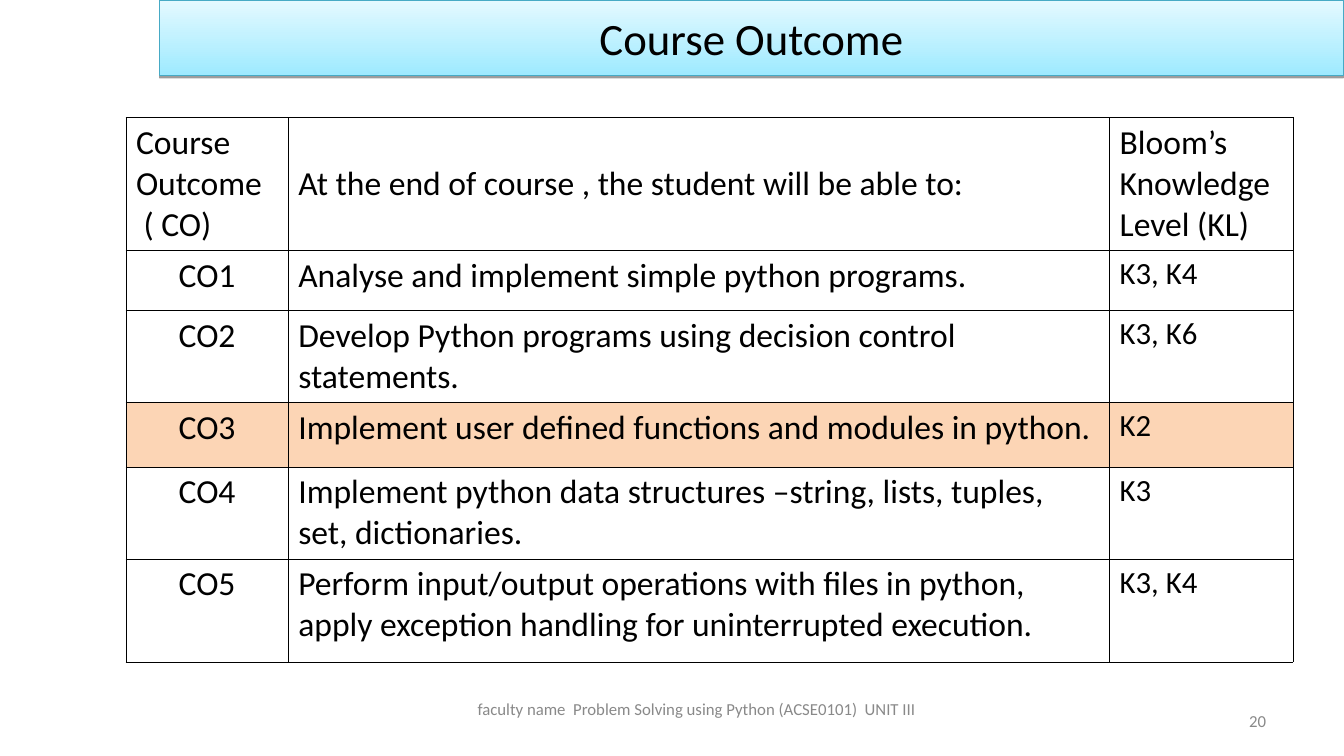
from dataclasses import dataclass

from lxml.etree import SubElement
from pptx import Presentation
from pptx.dml.color import RGBColor
from pptx.enum.shapes import MSO_SHAPE
from pptx.enum.text import MSO_ANCHOR, PP_ALIGN
from pptx.oxml.ns import qn
from pptx.util import Pt


@dataclass(frozen=True)
class Theme:
    font: str = "Calibri"
    ink: str = "000000"
    muted: str = "898989"
    paper: str = "FFFFFF"
    highlight: str = "FCD5B5"
    banner_bottom: str = "9EEAFF"
    banner_top: str = "E4F9FF"
    banner_edge: str = "46AAC5"
    title_size: float = 32
    body_size: float = 24
    level_size: float = 22
    footer_size: float = 12


THEME = Theme()

HEADINGS = (
    "Course Outcome\n ( CO)",
    "At the end of course , the student will be able to:",
    "Bloom’s Knowledge Level (KL)",
)
OUTCOMES = (
    ("CO1", "Analyse and implement simple python programs.", "K3, K4"),
    ("CO2", "Develop Python programs using decision control statements.", "K3, K6"),
    ("CO3", "Implement user defined functions and modules in python.", "K2"),
    ("CO4", "Implement python data structures –string, lists, tuples, set, dictionaries.", "K3"),
    ("CO5", "Perform input/output operations with files in python, "
            "apply exception handling for uninterrupted execution.", "K3, K4"),
)
ROW_FILLS = {1: THEME.paper, 3: THEME.highlight}
COLUMN_WIDTHS = (116, 587, 131)
ROW_HEIGHTS = (94, 42.5, 66, 46, 65, 73.5)


def write(frame, text, size=THEME.body_size, color=THEME.ink, align=PP_ALIGN.LEFT):
    frame.word_wrap = True
    frame.text = text
    for paragraph in frame.paragraphs:
        paragraph.alignment = align
        paragraph.font.name = THEME.font
        paragraph.font.size = Pt(size)
        paragraph.font.color.rgb = RGBColor.from_string(color)


def add_banner(slide, left, top, width, height):
    banner = slide.shapes.add_shape(
        MSO_SHAPE.RECTANGLE, Pt(left), Pt(top), Pt(width), Pt(height))
    banner.fill.gradient()
    banner.fill.gradient_angle = 90
    for stop, color in zip(banner.fill.gradient_stops,
                           (THEME.banner_bottom, THEME.banner_top)):
        stop.color.rgb = RGBColor.from_string(color)
    banner.line.color.rgb = RGBColor.from_string(THEME.banner_edge)
    banner.line.width = Pt(0.75)
    banner.shadow.inherit = False
    effects = banner._element.spPr.find(qn("a:effectLst"))
    shadow = SubElement(effects, qn("a:outerShdw"), blurRad="0",
                        dist=str(Pt(1.6)), dir="5400000", rotWithShape="0")
    shade = SubElement(shadow, qn("a:srgbClr"), val=THEME.ink)
    SubElement(shade, qn("a:alpha"), val="38000")
    banner.text_frame.vertical_anchor = MSO_ANCHOR.MIDDLE
    write(banner.text_frame, "Course Outcome", size=THEME.title_size, align=PP_ALIGN.CENTER)


def add_borders(cell):
    properties = cell._tc.get_or_add_tcPr()
    for side in ("lnL", "lnR", "lnT", "lnB"):
        border = SubElement(properties, qn(f"a:{side}"), w=str(Pt(0.45)))
        paint = SubElement(border, qn("a:solidFill"))
        SubElement(paint, qn("a:srgbClr"), val=THEME.ink)


def style_cell(cell, row, column, text):
    cell.margin_left = cell.margin_right = Pt(7.2)
    cell.margin_top = cell.margin_bottom = Pt(3.6)
    is_heading = row == 0
    cell.vertical_anchor = MSO_ANCHOR.MIDDLE if is_heading and column == 1 else MSO_ANCHOR.TOP
    add_borders(cell)
    if row in ROW_FILLS:
        cell.fill.solid()
        cell.fill.fore_color.rgb = RGBColor.from_string(ROW_FILLS[row])
    else:
        cell.fill.background()
    write(
        cell.text_frame, text,
        size=THEME.level_size if column == 2 and not is_heading else THEME.body_size,
        align=PP_ALIGN.CENTER if column == 0 and not is_heading else PP_ALIGN.LEFT)


def add_outcomes(slide, left, top, width, height):
    records = (HEADINGS, *OUTCOMES)
    outcomes = slide.shapes.add_table(
        len(records), len(HEADINGS), Pt(left), Pt(top), Pt(width), Pt(height)).table
    outcomes.first_row = outcomes.horz_banding = False
    for column, share in zip(outcomes.columns, COLUMN_WIDTHS):
        column.width = Pt(width * share / sum(COLUMN_WIDTHS))
    for row, share in zip(outcomes.rows, ROW_HEIGHTS):
        row.height = Pt(height * share / sum(ROW_HEIGHTS))
    for row, record in enumerate(records):
        for column, text in enumerate(record):
            style_cell(outcomes.cell(row, column), row, column, text)


def add_footer_text(slide, left, top, width, height, text, align):
    footer = slide.shapes.add_textbox(Pt(left), Pt(top), Pt(width), Pt(height))
    footer.text_frame.vertical_anchor = MSO_ANCHOR.MIDDLE
    write(footer.text_frame, text, size=THEME.footer_size, color=THEME.muted, align=align)


def add_footer(slide, left, top, width, height):
    add_footer_text(slide, left, top, 396, height,
                    "faculty name  Problem Solving using Python (ACSE0101)  UNIT III",
                    PP_ALIGN.CENTER)
    number_width = 224
    add_footer_text(slide, left + width - number_width, top + 8.5, number_width, height,
                    "20", PP_ALIGN.RIGHT)


def main():
    presentation = Presentation()
    presentation.slide_width = Pt(960.5)
    presentation.slide_height = Pt(540)
    slide = presentation.slides.add_slide(presentation.slide_layouts[6])
    add_banner(slide, 114, 0, 846, 54)
    add_outcomes(slide, 90, 84, 834, 387)
    add_footer(slide, 300, 492, 612, 29)
    presentation.save("out.pptx")


if __name__ == "__main__":
    main()
